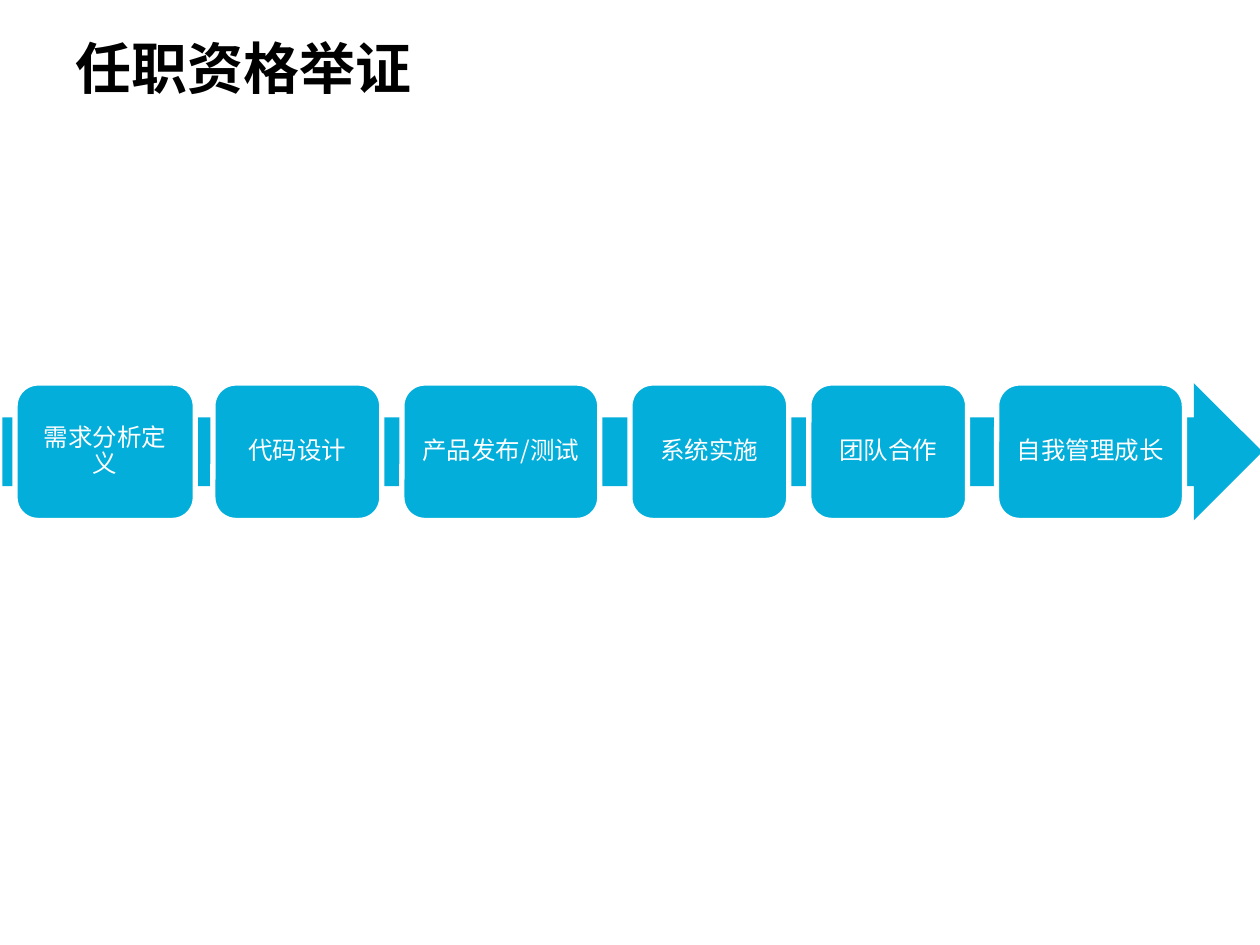
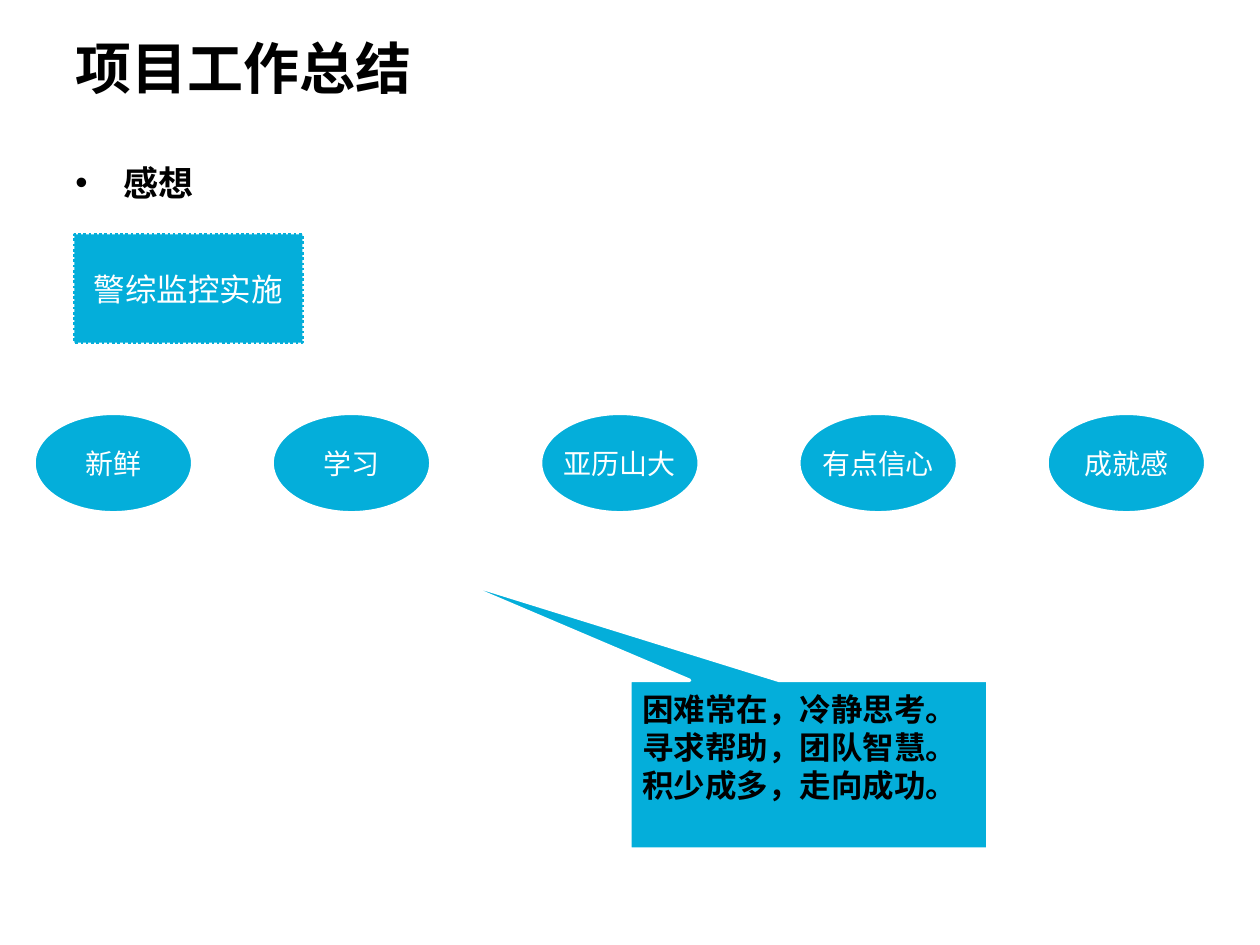
from collections import namedtuple

from lxml.etree import SubElement
from pptx import Presentation
from pptx.dml.color import RGBColor
from pptx.enum.dml import MSO_LINE
from pptx.enum.shapes import MSO_SHAPE
from pptx.enum.text import MSO_ANCHOR, PP_ALIGN
from pptx.oxml.ns import qn
from pptx.util import Inches, Pt

BLUE = RGBColor(0x04, 0xAE, 0xDA)
WHITE = RGBColor(0xFF, 0xFF, 0xFF)
BLACK = RGBColor(0x00, 0x00, 0x00)
LATIN, CJK = "Arial", "Noto Sans CJK SC"

WIDTH, HEIGHT = Inches(10), Inches(7.5)
COL, ROW = WIDTH / 100, HEIGHT / 75

Box = namedtuple("Box", "x y w h")
TITLE = Box(5, 2.1, 90, 6.4)
PROCESS = Box(0.2, 30.4, 100, 10.9)
HEADING = Box(5, 12.3, 90, 4.8)
PROJECT = Box(5.9, 18.6, 18.1, 8.6)
FEELINGS = Box(2.7, 32.8, 93, 7.9)
MOTTO = Box(50, 54, 28.4, 13.4)

STEPS = [
    ("需求分析定义", 1, 14.3),
    ("代码设计", 16.7, 13.4),
    ("产品发布/测试", 31.7, 15.7),
    ("系统实施", 49.8, 12.6),
    ("团队合作", 64, 12.6),
    ("自我管理成长", 78.9, 14.9),
]
MOODS = [("新鲜", 0), ("学习", 18.9), ("亚历山大", 40.2), ("有点信心", 60.7), ("成就感", 80.4)]
MOOD_WIDTH = 12.6


def emu(box):
    return int(box.x * COL), int(box.y * ROW), int(box.w * COL), int(box.h * ROW)


def part(box, dx, w):
    return Box(box.x + dx, box.y, w, box.h)


def write(sp, text, size, color, font=CJK, bold=False, align=PP_ALIGN.CENTER,
          anchor=MSO_ANCHOR.MIDDLE, wrap=True):
    tf = sp.text_frame
    tf.text = text
    tf.word_wrap = wrap
    tf.vertical_anchor = anchor
    for p in tf.paragraphs:
        p.alignment = align
        for r in p.runs:
            r.font.name, r.font.size, r.font.bold = font, Pt(size), bold
            r.font.color.rgb = color
            SubElement(r.font._element, qn("a:ea")).set("typeface", CJK)
    return tf


def add_blue(slide, kind, box, line=None, weight=2):
    sp = slide.shapes.add_shape(kind, *emu(box))
    sp.shadow.inherit = False
    sp.fill.solid()
    sp.fill.fore_color.rgb = BLUE
    if line is None:
        sp.line.fill.background()
    else:
        sp.line.color.rgb = line
        sp.line.width = Pt(weight)
    return sp


def add_title_slide(prs, title):
    slide = prs.slides.add_slide(prs.slide_layouts[6])
    sp = slide.shapes.add_textbox(*emu(TITLE))
    write(sp, title, 32, BLACK, LATIN, True, PP_ALIGN.LEFT)
    return slide


def draw_process(slide, box):
    add_blue(slide, MSO_SHAPE.RIGHT_ARROW, box)
    for text, dx, width in STEPS:
        sp = add_blue(slide, MSO_SHAPE.ROUNDED_RECTANGLE, part(box, dx, width), WHITE, 3)
        tf = write(sp, text, 14, WHITE)
        tf.margin_left = tf.margin_right = tf.margin_top = tf.margin_bottom = Inches(0.08)
        tf.paragraphs[0].line_spacing = 0.9


def draw_heading(slide, box):
    sp = slide.shapes.add_textbox(*emu(box))
    tf = write(sp, "感想", 20, BLACK, CJK, True, PP_ALIGN.LEFT, MSO_ANCHOR.TOP)
    pPr = tf.paragraphs[0]._p.get_or_add_pPr()
    indent = Inches(0.38)
    pPr.set("marL", str(indent))
    pPr.set("indent", str(-indent))
    SubElement(pPr, qn("a:buFont")).set("typeface", LATIN)
    SubElement(pPr, qn("a:buChar")).set("char", "•")


def draw_project(slide, box):
    sp = add_blue(slide, MSO_SHAPE.RECTANGLE, box, BLUE, 1.5)
    sp.line.dash_style = MSO_LINE.ROUND_DOT
    write(sp, "警综监控实施", 18, WHITE)


def draw_feelings(slide, box):
    for text, dx in MOODS:
        sp = add_blue(slide, MSO_SHAPE.FLOWCHART_CONNECTOR, part(box, dx, MOOD_WIDTH), WHITE)
        write(sp, text, 16, WHITE, LATIN, wrap=False)


def draw_motto(slide, box):
    sp = add_blue(slide, MSO_SHAPE.RECTANGULAR_CALLOUT, box, WHITE)
    sp.adjustments[0], sp.adjustments[1] = -1.01, -1.11
    text = "困难常在，冷静思考。\n寻求帮助，团队智慧。\n积少成多，走向成功。"
    tf = write(sp, text, 18, BLACK, LATIN, True, PP_ALIGN.LEFT, MSO_ANCHOR.TOP)
    tf.margin_top = Inches(0.08)


def main():
    prs = Presentation()
    prs.slide_width, prs.slide_height = WIDTH, HEIGHT

    draw_process(add_title_slide(prs, "任职资格举证"), PROCESS)

    summary = add_title_slide(prs, "项目工作总结")
    draw_heading(summary, HEADING)
    draw_project(summary, PROJECT)
    draw_feelings(summary, FEELINGS)
    draw_motto(summary, MOTTO)

    prs.save("out.pptx")


if __name__ == "__main__":
    main()
